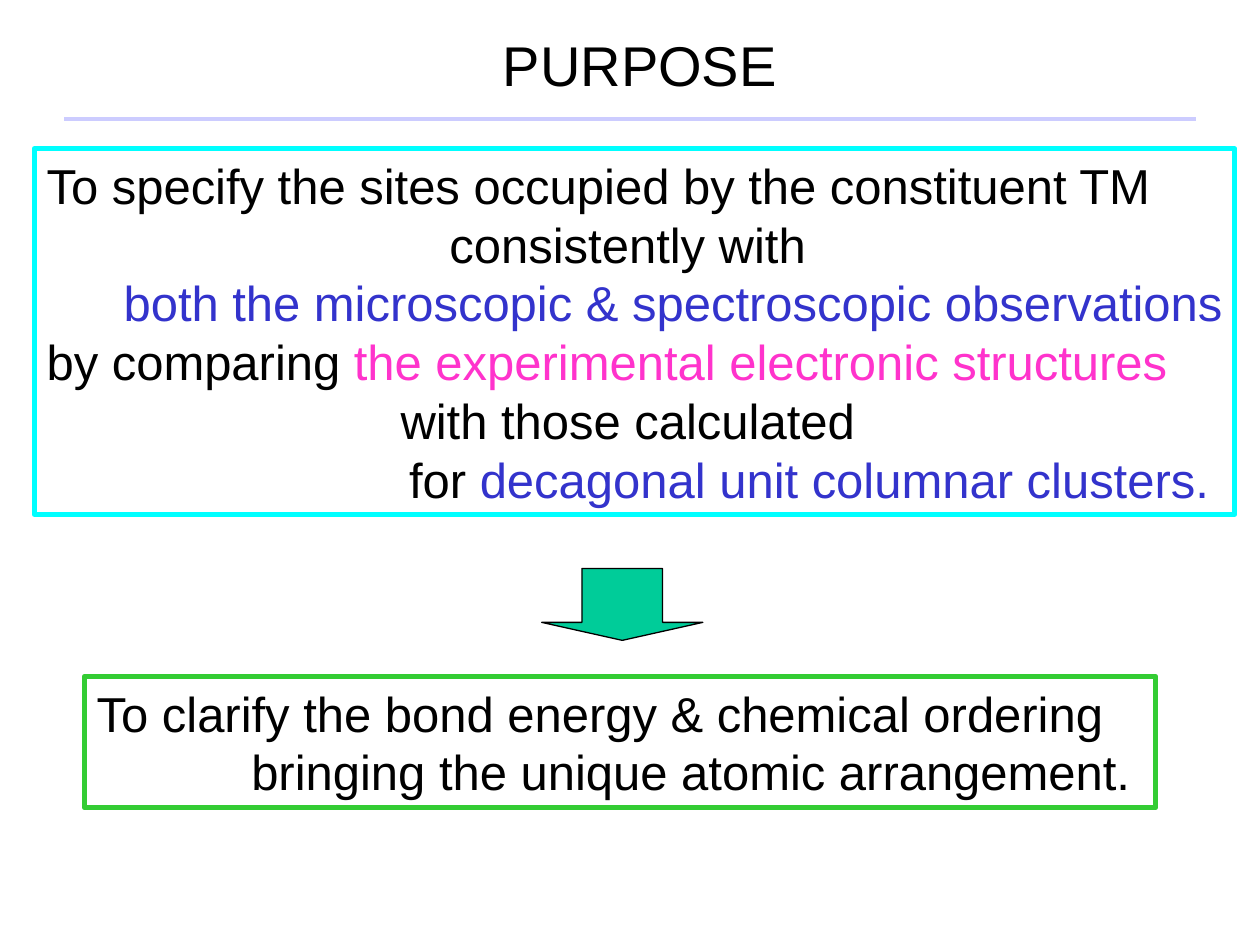
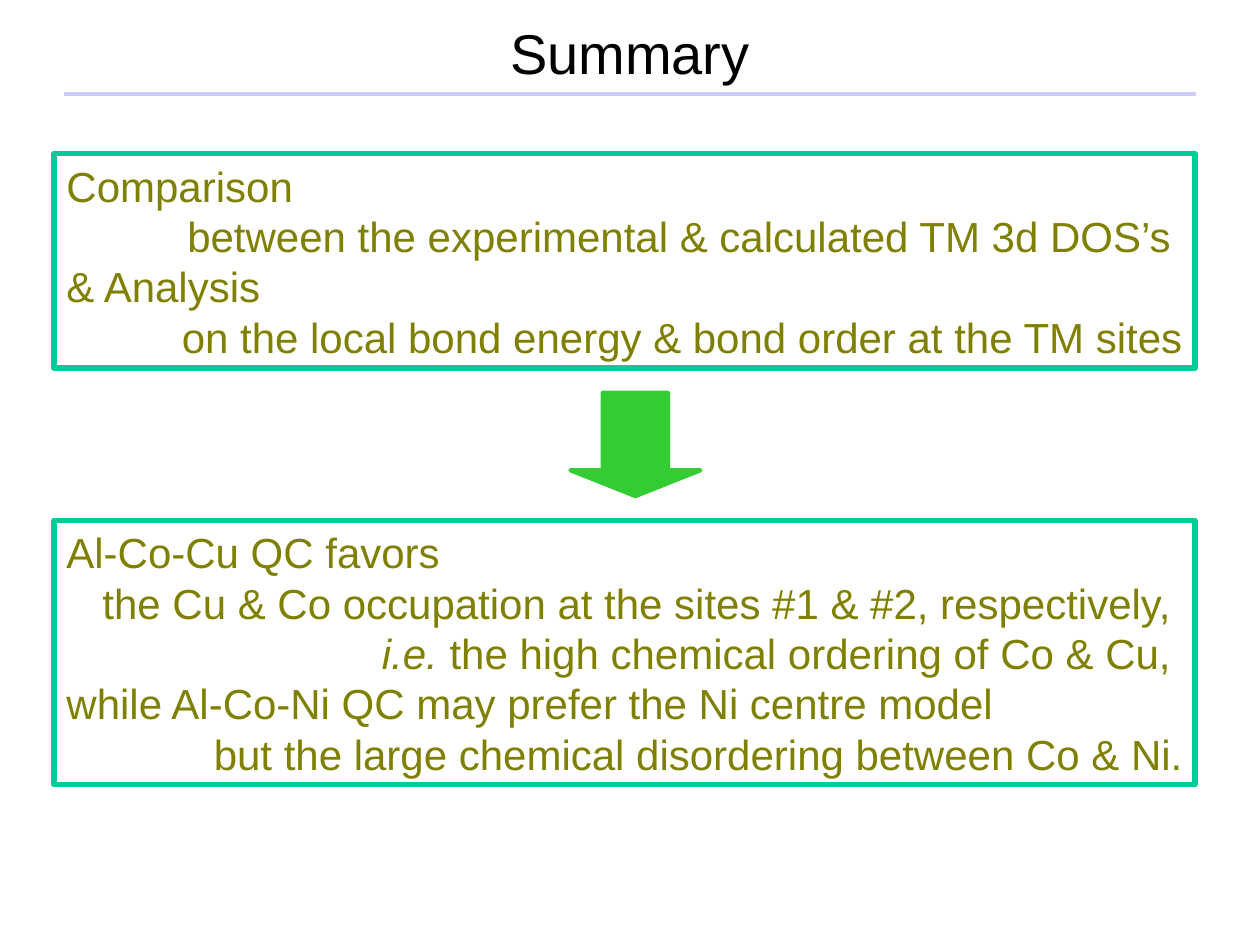
from dataclasses import dataclass
from typing import Any

import pptx
import pptx.dml.color
import pptx.enum.shapes
import pptx.enum.text
import pptx.oxml
import pptx.util
from pptx.util import Cm

COLORS = {
    "black": "000000",
    "white": "FFFFFF",
    "lavender": "CCCCFF",
    "cyan": "00FFFF",
    "teal": "00CC99",
    "green": "33CC33",
    "blue": "3333CC",
    "pink": "FF33CC",
    "olive": "808000",
}
LEFT = pptx.enum.text.PP_ALIGN.LEFT
CENTER = pptx.enum.text.PP_ALIGN.CENTER
RIGHT = pptx.enum.text.PP_ALIGN.RIGHT

FONT_NAME = "Arial"
TITLE_SIZE = 32
RULE_LEFT, RULE_RIGHT = 1.3, 24.1
FRAME_FORMAT = {
    "word_wrap": True,
    "margin_left": Cm(0.25),
    "margin_right": Cm(0.25),
    "margin_top": Cm(0.13),
    "margin_bottom": Cm(0.13),
}


@dataclass(frozen=True)
class Area:
    """Left, top, width and height in centimetres."""
    left: float
    top: float
    width: float
    height: float

    def lengths(self) -> tuple[Cm, ...]:
        return Cm(self.left), Cm(self.top), Cm(self.width), Cm(self.height)


@dataclass(frozen=True)
class Phrase:
    text: str
    color: str = ""
    italic: bool = False


@dataclass(frozen=True)
class Line:
    align: Any
    phrases: tuple[Phrase, ...]


@dataclass(frozen=True)
class Statement:
    area: Area
    border: str
    border_width: float
    size: int
    color: str
    lines: tuple[Line, ...]


@dataclass(frozen=True)
class Arrow:
    area: Area
    fill: str
    border: str
    border_width: float


@dataclass(frozen=True)
class Page:
    title: str
    title_area: Area
    rule_top: float
    statements: tuple[Statement, ...]
    arrow: Arrow


def line(align: Any, *phrases: str | Phrase) -> Line:
    return Line(align, tuple(Phrase(p) if isinstance(p, str) else p for p in phrases))


def rgb(name: str) -> pptx.dml.color.RGBColor:
    return pptx.dml.color.RGBColor.from_string(COLORS[name])


def apply_format(target: Any, values: dict[str, Any]) -> None:
    for attribute, value in values.items():
        setattr(target, attribute, value)


def set_border(border: Any, color: str, width: float) -> None:
    border.color.rgb = rgb(color)
    border.width = pptx.util.Pt(width)


def write_lines(frame: Any, lines: tuple[Line, ...], size: int, color: str) -> None:
    apply_format(frame, FRAME_FORMAT)
    for number, row in enumerate(lines):
        paragraph = frame.paragraphs[0] if number == 0 else frame.add_paragraph()
        paragraph.alignment = row.align
        for phrase in row.phrases:
            run = paragraph.add_run()
            run.text = phrase.text
            apply_format(run.font, {
                "name": FONT_NAME,
                "size": pptx.util.Pt(size),
                "italic": phrase.italic,
            })
            run.font.color.rgb = rgb(phrase.color or color)


def draw_title(slide: Any, page: Page) -> None:
    heading = slide.shapes.add_textbox(*page.title_area.lengths())
    write_lines(heading.text_frame, (line(CENTER, page.title),), TITLE_SIZE, "black")
    heading.text_frame.vertical_anchor = pptx.enum.text.MSO_ANCHOR.MIDDLE

    rule = slide.shapes.add_connector(
        pptx.enum.shapes.MSO_CONNECTOR.STRAIGHT,
        Cm(RULE_LEFT), Cm(page.rule_top), Cm(RULE_RIGHT), Cm(page.rule_top))
    set_border(rule.line, "lavender", 2.25)
    rule._element.spPr.append(pptx.oxml.parse_xml(
        '<a:effectLst xmlns:a="http://schemas.openxmlformats.org/drawingml/2006/main"/>'))


def draw_statement(slide: Any, statement: Statement) -> None:
    box = slide.shapes.add_shape(
        pptx.enum.shapes.MSO_SHAPE.RECTANGLE, *statement.area.lengths())
    box.shadow.inherit = False
    box.fill.background()
    set_border(box.line, statement.border, statement.border_width)
    write_lines(box.text_frame, statement.lines, statement.size, statement.color)
    box.text_frame.vertical_anchor = pptx.enum.text.MSO_ANCHOR.TOP


def draw_arrow(slide: Any, arrow: Arrow) -> None:
    pointer = slide.shapes.add_shape(
        pptx.enum.shapes.MSO_SHAPE.DOWN_ARROW, *arrow.area.lengths())
    pointer.shadow.inherit = False
    pointer.adjustments[0] = 0.5
    pointer.adjustments[1] = 0.25
    pointer.fill.solid()
    pointer.fill.fore_color.rgb = rgb(arrow.fill)
    set_border(pointer.line, arrow.border, arrow.border_width)


PURPOSE = Page(
    "PURPOSE", Area(6.3, 0.43, 13.2, 1.73), 2.39,
    (
        Statement(Area(0.69, 3, 24.2, 7.37), "cyan", 3, 28, "black", (
            line(LEFT, "To specify the sites occupied by the constituent TM"),
            line(CENTER, "consistently with "),
            line(RIGHT, Phrase("both the microscopic & spectroscopic observations", "blue")),
            line(LEFT, "by comparing ",
                 Phrase("the experimental electronic structures", "pink")),
            line(CENTER, "with those calculated "),
            line(RIGHT, "for ", Phrase("decagonal unit columnar clusters. ", "blue")),
        )),
        Statement(Area(1.7, 13.64, 21.6, 2.64), "green", 3, 28, "black", (
            line(LEFT, "To clarify the bond energy & chemical ordering"),
            line(RIGHT, "bringing the unique atomic arrangement. "),
        )),
    ),
    Arrow(Area(10.92, 11.46, 3.25, 1.45), "teal", "black", 0.75),
)

SUMMARY = Page(
    "Summary", Area(1.9, 0.2, 21.6, 1.7), 1.9,
    (
        Statement(Area(1.09, 3.1, 23, 4.32), "teal", 3, 24, "olive", (
            line(LEFT, "Comparison"),
            line(RIGHT, "between the experimental & calculated TM 3d DOS’s "),
            line(LEFT, "& Analysis"),
            line(RIGHT, "on the local bond energy & bond order at the TM sites"),
        )),
        Statement(Area(1.09, 10.49, 23, 5.33), "teal", 3, 24, "olive", (
            line(LEFT, "Al-Co-Cu QC favors"),
            line(RIGHT, "the Cu & Co occupation at the sites #1 & #2, respectively, "),
            line(RIGHT, Phrase("i.e.", italic=True),
                 " the high chemical ordering of Co & Cu, "),
            line(LEFT, "while Al-Co-Ni QC may prefer the Ni centre model"),
            line(RIGHT, "but the large chemical disordering between Co & Ni."),
        )),
    ),
    Arrow(Area(11.5, 7.92, 2.62, 2.08), "green", "green", 2.5),
)


def main() -> None:
    deck = pptx.Presentation()
    deck.slide_width, deck.slide_height = Cm(25.4), Cm(19.05)
    blank = deck.slide_layouts[6]
    for page in (PURPOSE, SUMMARY):
        slide = deck.slides.add_slide(blank)
        slide.background.fill.solid()
        slide.background.fill.fore_color.rgb = rgb("white")
        draw_title(slide, page)
        for statement in page.statements:
            draw_statement(slide, statement)
        draw_arrow(slide, page.arrow)
    deck.save("out.pptx")


if __name__ == "__main__":
    main()
